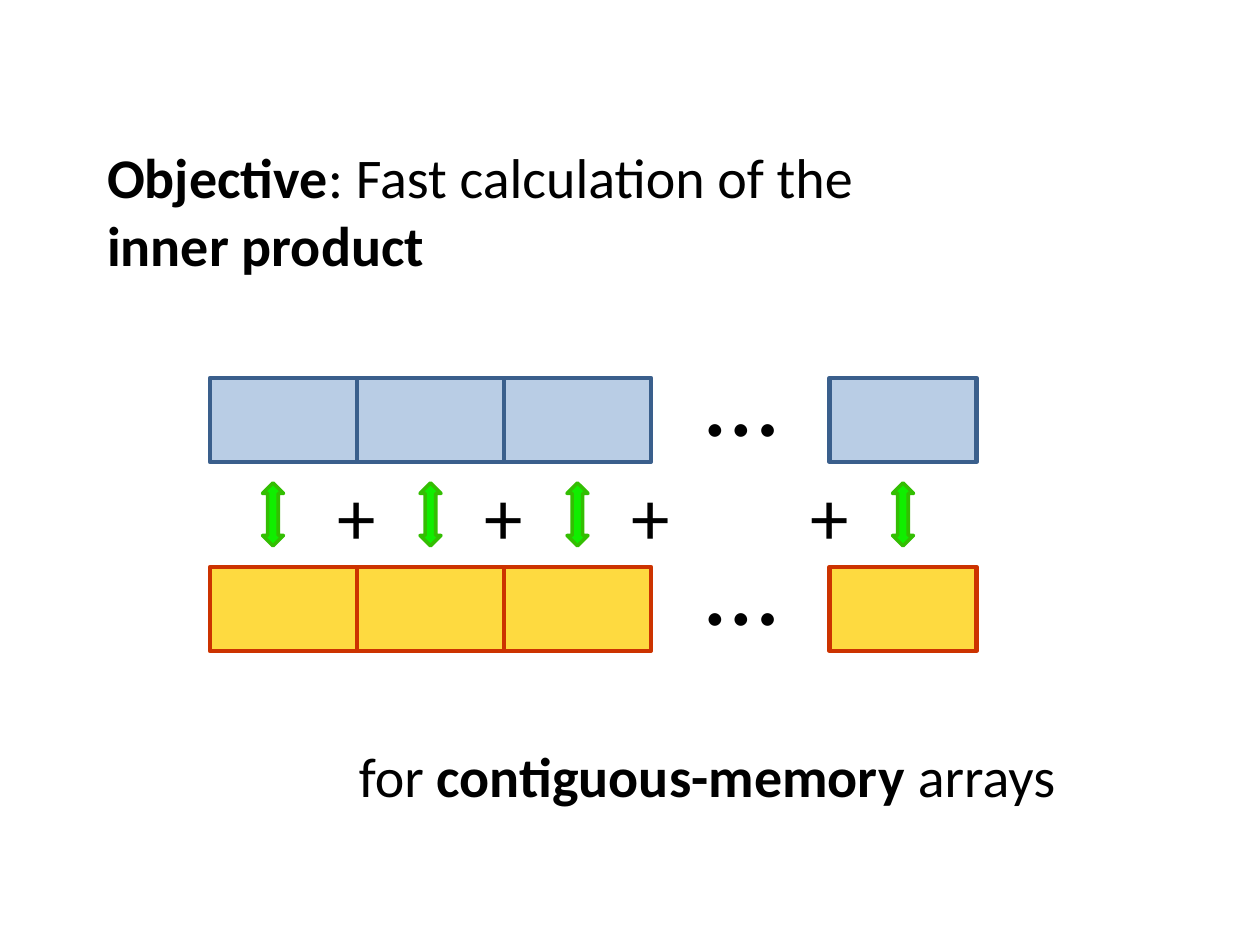
from pptx import Presentation
from pptx.dml.color import RGBColor
from pptx.enum.shapes import MSO_SHAPE
from pptx.enum.text import MSO_ANCHOR, MSO_AUTO_SIZE, PP_ALIGN
from pptx.util import Emu, Pt

SCALE = 914400 // 120  # 120 px to the inch
COLORS = {
    "text": "000000",
    "blue": "B9CDE5", "blue edge": "3A5F8C",
    "gold": "FEDA40", "gold edge": "CC3300",
    "green": "11EE00", "green edge": "33BE02",
}


def px(*sizes):
    return [Emu(size * SCALE) for size in sizes]


def color(name):
    return RGBColor.from_string(COLORS[name])


class Painter:
    font = "Calibri"

    def __init__(self, slide):
        self.slide = slide

    def fill(self, frame, parts, size):
        """Fill a frame with (text, bold) parts; None breaks the line."""
        frame.word_wrap = True
        frame.auto_size = MSO_AUTO_SIZE.NONE
        frame.vertical_anchor = MSO_ANCHOR.TOP
        para = frame.paragraphs[0]
        para.alignment = PP_ALIGN.LEFT
        for part in parts:
            if part is None:
                para.add_line_break()
                continue
            run = para.add_run()
            run.text, run.font.bold = part
            run.font.name = self.font
            run.font.size = Pt(size)
            run.font.color.rgb = color("text")

    def title(self, box, parts, size):
        shape = self.slide.shapes.title
        shape.left, shape.top, shape.width, shape.height = px(*box)
        self.fill(shape.text_frame, parts, size)

    def text(self, box, parts, size):
        shape = self.slide.shapes.add_textbox(*px(*box))
        self.fill(shape.text_frame, parts, size)

    def shape(self, kind, box, tone, weight):
        shape = self.slide.shapes.add_shape(kind, *px(*box))
        shape.shadow.inherit = False
        shape.fill.solid()
        shape.fill.fore_color.rgb = color(tone)
        shape.line.color.rgb = color(tone + " edge")
        shape.line.width = Pt(weight)


def main():
    deck = Presentation()
    deck.slide_width, deck.slide_height = px(1200, 900)
    paint = Painter(deck.slides.add_slide(deck.slide_layouts[5]))

    # Objective
    paint.title((90, 130, 1000, 141), [
        ("Objective", True), (": Fast calculation of the", False),
        None, ("inner product", True)], 32)

    # The two arrays, each with an ellipsis before its last cell
    wide, high = 140, 80
    cells = [200 + wide * i for i in range(3)] + [790]
    for top, tone in ((360, "blue"), (540, "gold")):
        paint.text((660, top - 50, 100, 133), [("…", False)], 60)
        for left in cells:
            paint.shape(MSO_SHAPE.RECTANGLE, (left, top, wide, high), tone, 2.5)

    # Products of paired cells
    for left in (250, 400, 540, 850):
        paint.shape(MSO_SHAPE.UP_DOWN_ARROW, (left, 460, 20, 60), "green", 2)

    # Plus signs centred on the cell edges
    for edge in cells[1:3] + [cells[2] + wide, cells[3]]:
        paint.text((edge - 30, 440, 60, 101), [("+", False)], 44)

    # Condition
    paint.text((330, 700, 740, 77), [
        ("for ", False), ("contiguous-memory", True), (" arrays", False)], 32)

    deck.save("out.pptx")


if __name__ == "__main__":
    main()
